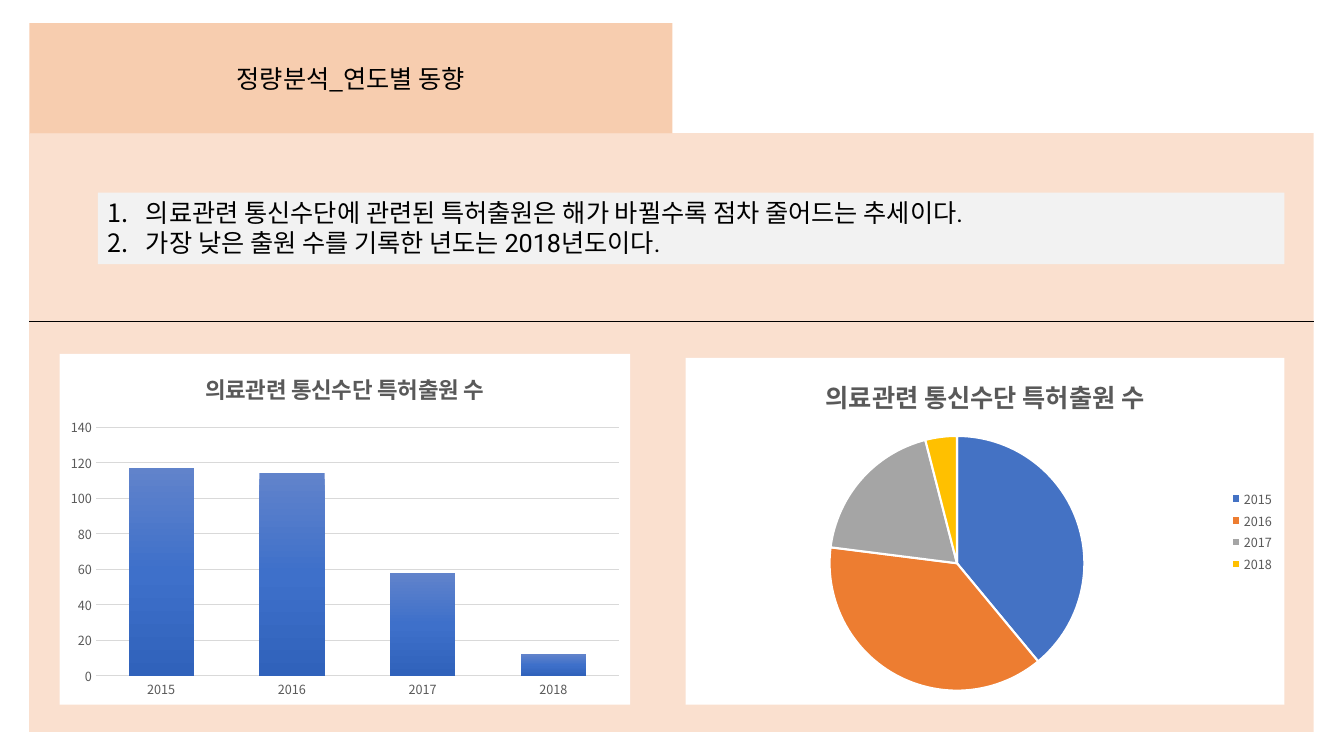
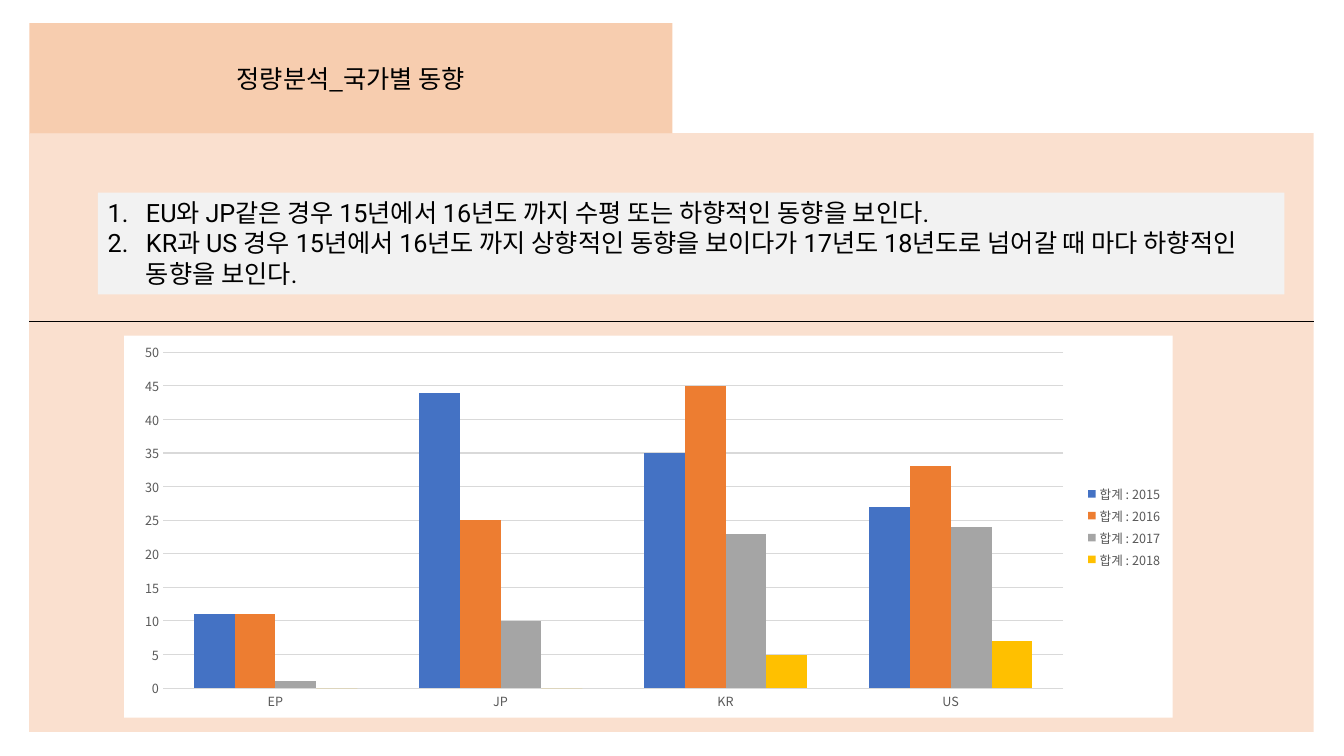
import pptx
import pptx.chart.data
import pptx.dml.color
import pptx.enum.chart
import pptx.enum.shapes
import pptx.enum.text
import pptx.oxml
import pptx.oxml.ns
import pptx.util
from pptx.util import Inches
from lxml import etree

COLORS = {
    "title_band": "F4B183", "panel": "ED7D31", "note": "F2F2F2", "black": "000000",
    "white": "FFFFFF", "gray_text": "595959", "grid": "D9D9D9",
}
SERIES_COLORS = ["4472C4", "ED7D31", "A5A5A5", "FFC000"]
BAR_GRADIENT = [(0, "6183CB"), (50, "3E70CA"), (100, "3062BB")]
KOREAN_FONT = "Noto Sans CJK KR"
LATIN_FONT = "Roboto"
YEARS = ["2015", "2016", "2017", "2018"]
CHART_TITLE = "의료관련 통신수단 특허출원 수"
COLUMN = pptx.enum.chart.XL_CHART_TYPE.COLUMN_CLUSTERED
PIE = pptx.enum.chart.XL_CHART_TYPE.PIE
qn = pptx.oxml.ns.qn
nsdecls = pptx.oxml.ns.nsdecls

SLIDES = [
    {
        "title": "정량분석_연도별 동향",
        "notes": ["의료관련 통신수단에 관련된 특허출원은 해가 바뀔수록 점차 줄어드는 추세이다.",
                  "가장 낮은 출원 수를 기록한 년도는 2018년도이다."],
        "note_height": 0.71,
        "charts": [
            {"type": COLUMN, "at": (0.59, 3.51, 5.66, 3.48), "categories": YEARS,
             "series": [("Series 1", [117, 114, 58, 12])], "title_size": 16,
             "gap": 100, "overlap": -24, "axis_line": True, "legend": False},
            {"type": PIE, "at": (6.8, 3.55, 5.94, 3.44), "categories": YEARS,
             "series": [("Series 1", [39, 38, 19, 4])], "title_size": 18, "legend": True},
        ],
    },
    {
        "title": "정량분석_국가별 동향",
        "notes": ["EU와 JP같은 경우 15년에서 16년도 까지 수평 또는 하향적인 동향을 보인다.",
                  "KR과 US 경우 15년에서 16년도 까지 상향적인 동향을 보이다가 "
                  "17년도 18년도로 넘어갈 때 마다 하향적인 동향을 보인다."],
        "note_height": 1.01,
        "charts": [
            {"type": COLUMN, "at": (1.23, 3.33, 10.4, 3.79),
             "categories": ["EP", "JP", "KR", "US"],
             "series": list(zip([f"합계 : {year}" for year in YEARS],
                                [[11, 44, 35, 27], [11, 25, 45, 33],
                                 [1, 10, 23, 24], [0, 0, 5, 7]])),
             "title_size": None, "gap": 150, "overlap": 0, "axis_line": False,
             "legend": True},
        ],
    },
]


def set_fill(fill, color, opacity=100):
    fill.solid()
    fill.fore_color.rgb = pptx.dml.color.RGBColor.from_string(color)
    if opacity < 100:
        color_element = fill._xPr.find(qn("a:solidFill"))[0]
        etree.SubElement(color_element, qn("a:alpha")).set("val", str(opacity * 1000))


def set_font(font, size, color, name=KOREAN_FONT, bold=False):
    font.size = pptx.util.Pt(size)
    font.bold = bold
    font.name = name
    set_fill(font.fill, color)
    east_asian = etree.Element(qn("a:ea"))
    east_asian.set("typeface", KOREAN_FONT)
    font._element.find(qn("a:latin")).addnext(east_asian)


presentation = pptx.Presentation()
presentation.slide_width = Inches(13.33)
presentation.slide_height = Inches(7.5)

for content in SLIDES:
    slide = presentation.slides.add_slide(presentation.slide_layouts[6])

    # Title band and panel
    bands = []
    for box, color, opacity in [((0.29, 0.23, 6.38, 1.09), "title_band", 64),
                                ((0.29, 1.32, 12.74, 5.94), "panel", 23)]:
        shape = slide.shapes.add_shape(pptx.enum.shapes.MSO_SHAPE.RECTANGLE,
                                       *[Inches(length) for length in box])
        shape.shadow.inherit = False
        shape.line.fill.background()
        set_fill(shape.fill, COLORS[color], opacity)
        bands.append(shape)
    title_frame = bands[0].text_frame
    title_frame.text = content["title"]
    title_frame.vertical_anchor = pptx.enum.text.MSO_ANCHOR.MIDDLE
    title_frame.paragraphs[0].alignment = pptx.enum.text.PP_ALIGN.CENTER
    set_font(title_frame.paragraphs[0].runs[0].font, 18, COLORS["black"])

    # Divider
    divider = slide.shapes.add_connector(
        pptx.enum.shapes.MSO_CONNECTOR.STRAIGHT,
        Inches(0.29), Inches(3.19), Inches(13.03), Inches(3.19))
    set_fill(divider.line.fill, COLORS["black"])
    divider.line.width = pptx.util.Pt(0.5)
    etree.SubElement(divider._element.spPr, qn("a:effectLst"))

    # Numbered findings
    note = slide.shapes.add_textbox(Inches(0.97), Inches(1.91), Inches(11.77),
                                    Inches(content["note_height"]))
    set_fill(note.fill, COLORS["note"])
    note.text_frame.word_wrap = True
    note.text_frame.auto_size = pptx.enum.text.MSO_AUTO_SIZE.SHAPE_TO_FIT_TEXT
    note.text_frame.text = "\n".join(content["notes"])
    for paragraph in note.text_frame.paragraphs:
        set_font(paragraph.runs[0].font, 18, COLORS["black"], LATIN_FONT)
        properties = paragraph._p.get_or_add_pPr()
        properties.set("marL", str(Inches(0.38)))
        properties.set("indent", str(-Inches(0.38)))
        etree.SubElement(properties, qn("a:buAutoNum")).set("type", "arabicPeriod")

    # Charts
    for item in content["charts"]:
        chart_data = pptx.chart.data.CategoryChartData()
        chart_data.categories = item["categories"]
        for name, values in item["series"]:
            chart_data.add_series(name, values)
        chart = slide.shapes.add_chart(
            item["type"], *[Inches(length) for length in item["at"]], chart_data).chart
        set_font(chart.font, 10, COLORS["black"])
        chart._chartSpace.find(qn("c:chart")).addnext(pptx.oxml.parse_xml(
            f'<c:spPr {nsdecls("c", "a")}><a:solidFill><a:srgbClr val="{COLORS["white"]}"/>'
            '</a:solidFill><a:ln><a:noFill/></a:ln></c:spPr>'))

        chart.has_title = item["title_size"] is not None
        if chart.has_title:
            chart.chart_title.include_in_layout = False
            chart.chart_title.text_frame.text = CHART_TITLE
            set_font(chart.chart_title.text_frame.paragraphs[0].runs[0].font,
                     item["title_size"], COLORS["gray_text"], bold=True)

        chart.has_legend = item["legend"]
        if chart.has_legend:
            chart.legend.position = pptx.enum.chart.XL_LEGEND_POSITION.RIGHT
            chart.legend.include_in_layout = False
            set_font(chart.legend.font, 9, COLORS["gray_text"])

        plot = chart.plots[0]
        if item["type"] == PIE:
            plot.vary_by_categories = True
            for index, color in enumerate(SERIES_COLORS):
                point_format = plot.series[0].points[index].format
                set_fill(point_format.fill, color)
                set_fill(point_format.line.fill, COLORS["white"])
                point_format.line.width = pptx.util.Pt(1.5)
            continue

        plot.vary_by_categories = False
        plot.gap_width = item["gap"]
        plot.overlap = item["overlap"]
        for series, color in zip(plot.series, SERIES_COLORS):
            series.invert_if_negative = False
            set_fill(series.format.fill, color)

        # Single-series columns shade from top to bottom
        if len(item["series"]) == 1:
            stops = "".join(f'<a:gs pos="{position * 1000}"><a:srgbClr val="{color}"/></a:gs>'
                            for position, color in BAR_GRADIENT)
            gradient = pptx.oxml.parse_xml(
                f'<a:gradFill {nsdecls("a")} rotWithShape="1"><a:gsLst>{stops}</a:gsLst>'
                '<a:lin ang="5400000" scaled="0"/></a:gradFill>')
            properties = plot.series[0]._element.find(qn("c:spPr"))
            properties.replace(properties.find(qn("a:solidFill")), gradient)

        for axis in (chart.category_axis, chart.value_axis):
            axis.major_tick_mark = pptx.enum.chart.XL_TICK_MARK.NONE
            axis.minor_tick_mark = pptx.enum.chart.XL_TICK_MARK.NONE
            axis.format.line.fill.background()
            set_font(axis.tick_labels.font, 9, COLORS["gray_text"])
        if item["axis_line"]:
            set_fill(chart.category_axis.format.line.fill, COLORS["grid"])
            chart.category_axis.format.line.width = pptx.util.Pt(1)
        gridline = chart.value_axis.major_gridlines.format.line
        set_fill(gridline.fill, COLORS["grid"])
        gridline.width = pptx.util.Pt(0.75)

presentation.save("out.pptx")
